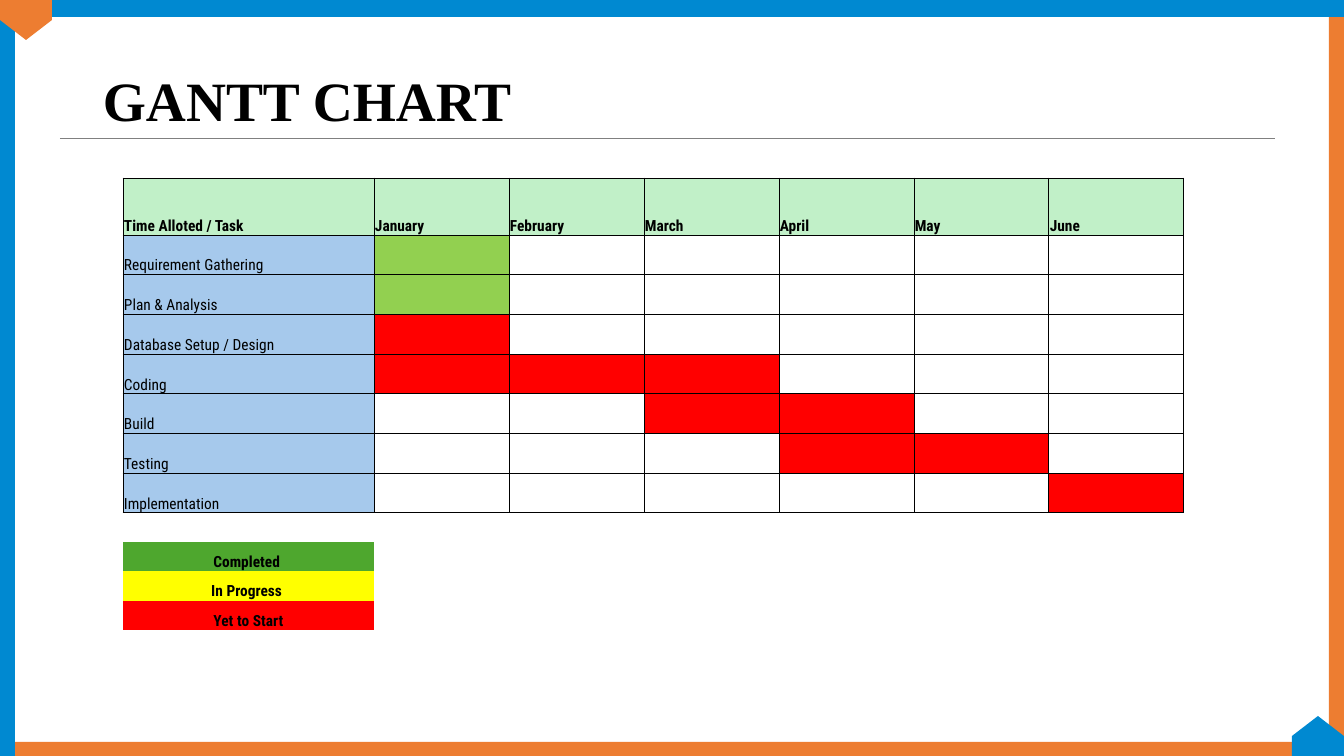
from lxml import etree
from pptx import Presentation
from pptx.dml.color import RGBColor
from pptx.enum.shapes import MSO_CONNECTOR, MSO_SHAPE
from pptx.enum.text import MSO_ANCHOR, PP_ALIGN
from pptx.oxml.ns import qn
from pptx.util import Emu, Pt

RECTANGLE, PENTAGON = MSO_SHAPE.RECTANGLE, MSO_SHAPE.PENTAGON
STRAIGHT = MSO_CONNECTOR.STRAIGHT
BOTTOM, MIDDLE = MSO_ANCHOR.BOTTOM, MSO_ANCHOR.MIDDLE
LEFT, CENTER = PP_ALIGN.LEFT, PP_ALIGN.CENTER
PX = 914400 / 100.8
ORANGE, BLUE, BLACK = "ED7D31", "0089D1", "000000"
HEADER, TASK = "C1F0C8", "A6C9EC"
DONE, PENDING = "92D050", "FF0000"
NO_STYLE = "{2D5ABB26-0587-4C30-8999-92F81FD0307C}"

MONTHS = ["January", "February", "March", "April", "May", "June"]
# task, first month, last month, status colour
SCHEDULE = [
    ("Requirement Gathering", 1, 1, DONE),
    ("Plan & Analysis", 1, 1, DONE),
    ("Database Setup / Design", 1, 1, PENDING),
    ("Coding", 1, 3, PENDING),
    ("Build", 3, 4, PENDING),
    ("Testing", 4, 5, PENDING),
    ("Implementation", 6, 6, PENDING),
]
LEGEND = [("Completed ", "4EA72E"), ("In Progress ", "FFFF00"), ("Yet to Start", PENDING)]


def px(length):
    return Emu(round(length * PX))


def rgb(color):
    return RGBColor.from_string(color)


prs = Presentation()
prs.slide_width, prs.slide_height = px(1344), px(756)
slide = prs.slides.add_slide(prs.slide_layouts[6])

# Frame: four edge bars and two corner pentagons
for kind, left, top, width, height, turn, color in [
    (RECTANGLE, 0, 742, 1304, 14, 0, ORANGE),
    (RECTANGLE, 1329, 0, 15, 756, 0, ORANGE),
    (RECTANGLE, 0, 0, 15, 756, 0, BLUE),
    (RECTANGLE, 39, 0, 1305, 17, 0, BLUE),
    (PENTAGON, 6, -6, 40, 52, 90, ORANGE),
    (PENTAGON, 1298, 710, 40, 52, 270, BLUE),
]:
    edge = slide.shapes.add_shape(kind, px(left), px(top), px(width), px(height))
    edge.rotation = turn
    edge.shadow.inherit = False
    edge.fill.solid()
    edge.fill.fore_color.rgb = rgb(color)
    edge.line.fill.background()

# Title and rule
rule = slide.shapes.add_connector(STRAIGHT, px(60), px(138), px(1275), px(138))
rule.line.color.rgb = rgb("808080")
rule.line.width = Pt(0.5)
etree.SubElement(rule._element.spPr, qn("a:effectLst"))

title = slide.shapes.add_textbox(px(93), px(65), px(1134), px(77)).text_frame
title.word_wrap = True
title.vertical_anchor = MIDDLE
title.paragraphs[0].line_spacing = 0.9
heading = title.paragraphs[0].add_run()
heading.text = "GANTT CHART"
heading.font.name = "Times New Roman"
heading.font.size = Pt(39.6)
heading.font.bold = True
heading.font.color.rgb = rgb(BLACK)

# Each row holds (text, fill, bold, alignment) per cell
empty = ("", None, False, LEFT)
rows = [[(label, HEADER, True, LEFT) for label in ["Time Alloted / Task"] + MONTHS]]
for task, first, last, status in SCHEDULE:
    rows.append([(task, TASK, False, LEFT)] + [
        ("", status if first <= month <= last else None, False, LEFT)
        for month in range(1, len(MONTHS) + 1)])
bordered_rows = len(rows)
rows.append([empty] * 7)
for label, color in LEGEND:
    rows.append([(label, color, True, CENTER)] + [empty] * 6)

widths = [251] + [135] * 6
heights = [57] + [278 / 7] * 7 + [117 / 4] * 4
frame = slide.shapes.add_table(len(rows), len(widths), px(123), px(178),
                               px(sum(widths)), px(sum(heights)))
gantt = frame.table
gantt.horz_banding = False
frame._element.find(".//" + qn("a:tableStyleId")).text = NO_STYLE
for column, width in zip(gantt.columns, widths):
    column.width = px(width)
for row, height in zip(gantt.rows, heights):
    row.height = px(height)

for row_index, row in enumerate(rows):
    for column_index, (text, fill, bold, alignment) in enumerate(row):
        cell = gantt.cell(row_index, column_index)
        cell.vertical_anchor = BOTTOM
        cell.margin_left = cell.margin_right = cell.margin_top = px(1)
        cell.margin_bottom = 0
        paragraph = cell.text_frame.paragraphs[0]
        paragraph.alignment = alignment
        if text:
            run = paragraph.add_run()
            run.text = text
            run.font.name = "Roboto Condensed"
            run.font.size = Pt(11)
            run.font.bold = bold
            run.font.color.rgb = rgb(BLACK)
        else:
            etree.SubElement(paragraph._p, qn("a:endParaRPr"), sz="1100")
        if fill:
            cell.fill.solid()
            cell.fill.fore_color.rgb = rgb(fill)
        else:
            cell.fill.background()
        if row_index < bordered_rows:
            properties = cell._tc.get_or_add_tcPr()
            for position, side in enumerate(["lnL", "lnR", "lnT", "lnB"]):
                border = etree.Element(qn("a:" + side), w=str(Pt(0.5)))
                solid = etree.SubElement(border, qn("a:solidFill"))
                etree.SubElement(solid, qn("a:srgbClr"), val=BLACK)
                properties.insert(position, border)

prs.save("out.pptx")
